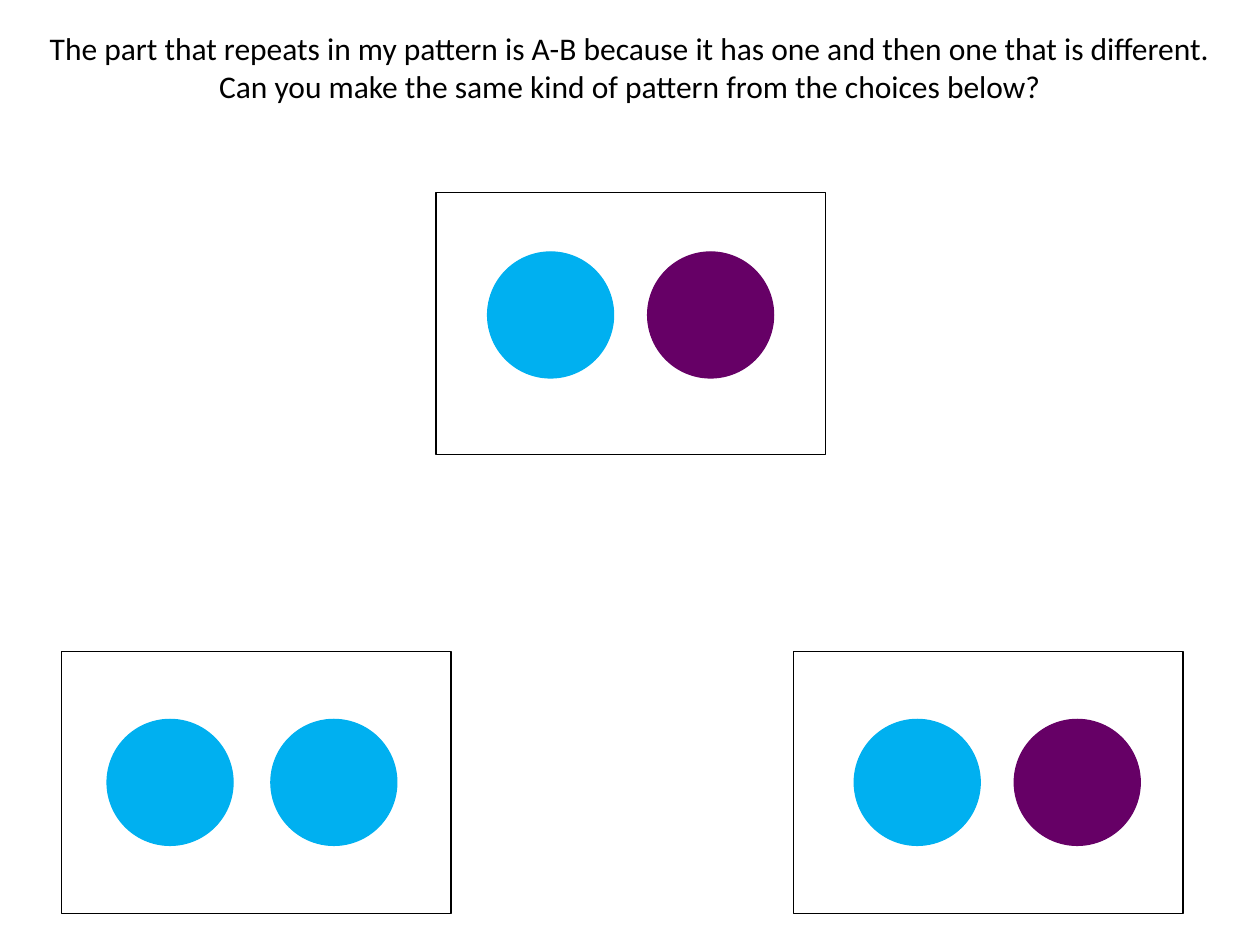
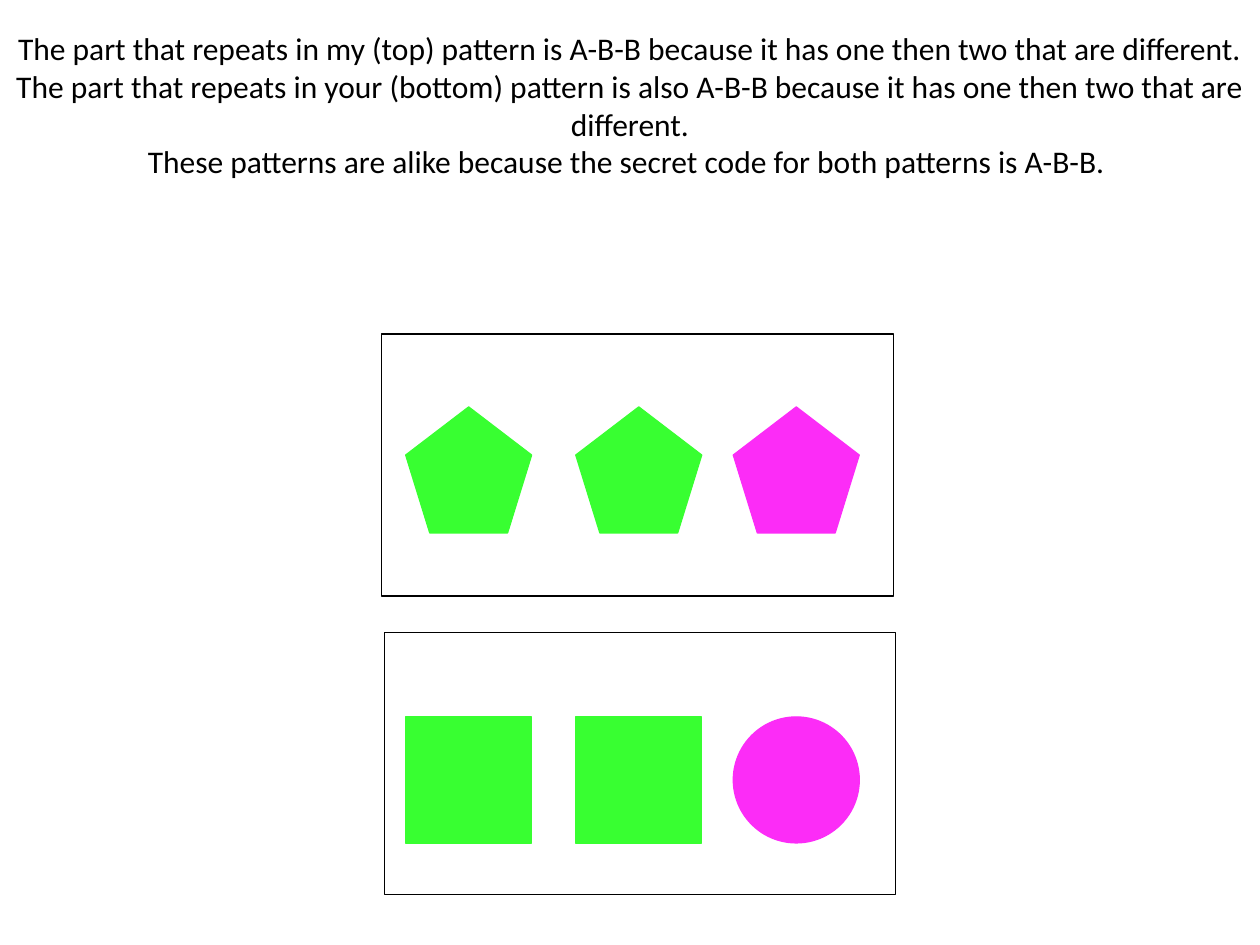
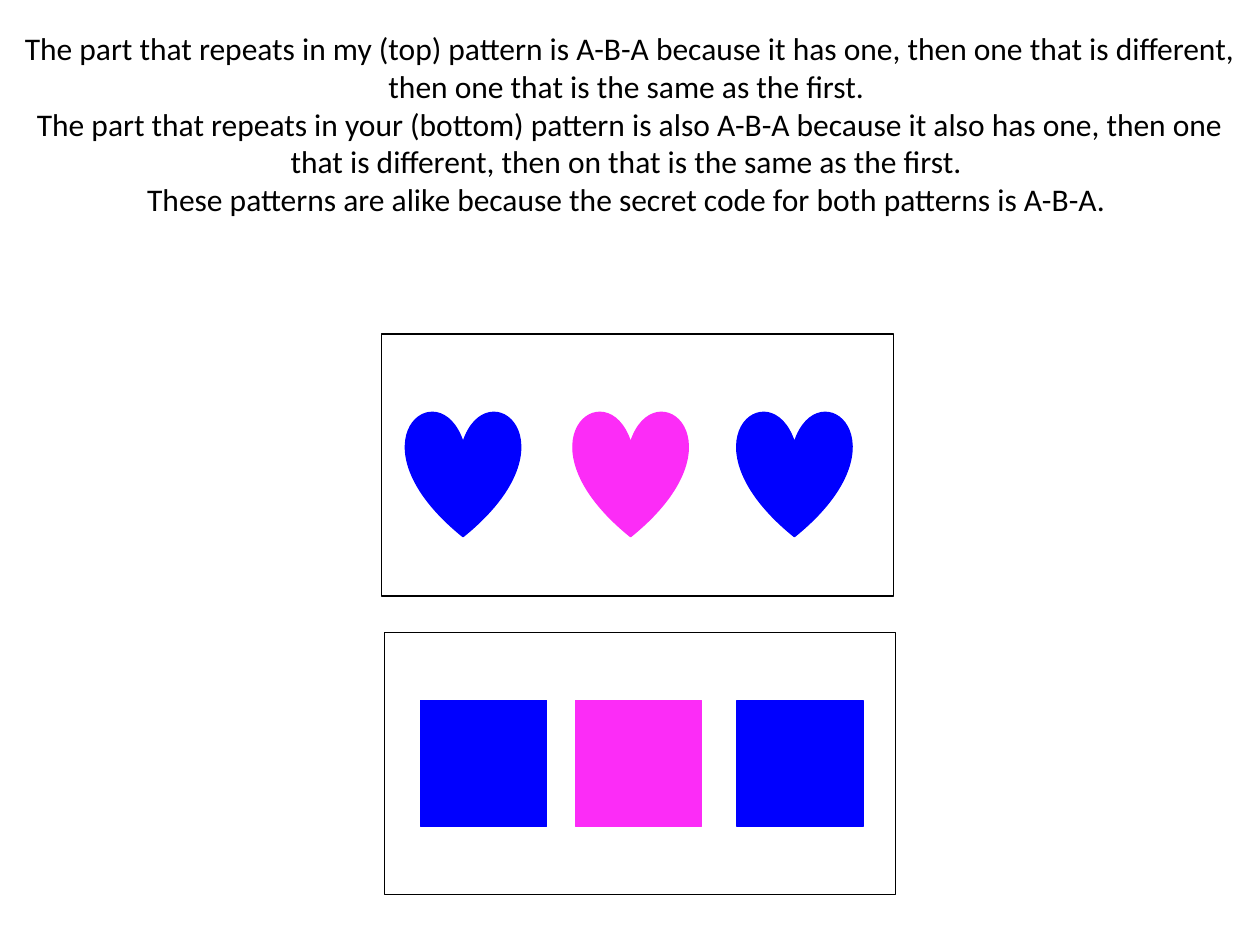
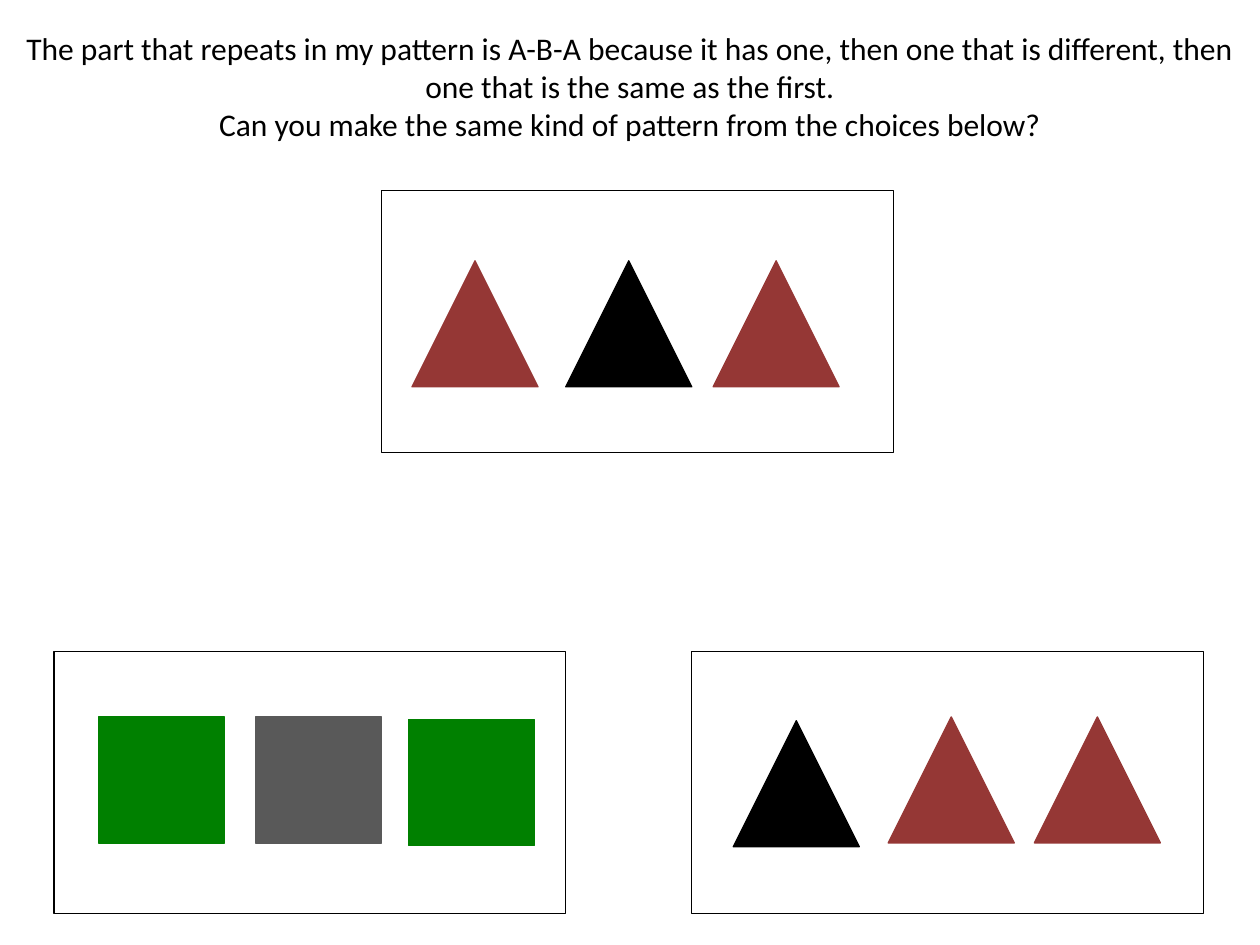
from dataclasses import dataclass

from pptx import Presentation
from pptx.dml.color import RGBColor
from pptx.enum.shapes import MSO_SHAPE as Preset
from pptx.enum.text import MSO_ANCHOR as Anchor, MSO_AUTO_SIZE as AutoSize, PP_ALIGN as Align
from pptx.util import Inches, Pt

FONT = "Calibri"
BLACK, SKY, PLUM = "000000", "00B0F0", "660066"
LIME, PINK, BLUE = "38FF31", "FC2CF7", "0000FF"
BRICK, GREEN, GRAY = "953735", "008000", "595959"

TITLE_ONLY = 5
LINE_WIDTH = Pt(0.75)
CARD_HEIGHT = 2.08
CARD_WIDTHS = {2: 3.09, 3: 4.06}  # by number of pieces
PIECE_SIZE = 1
HEART_WIDTH = 0.91
COMPARE_TOP, COMPARE_BOTTOM = (3.03, 2.65), (3.05, 5.02)
CHOICE_TOP = 5.17
QUESTION = "Can you make the same kind of pattern from the choices below?"


@dataclass
class Card:
    """A framed pattern; offsets and drop are measured from its top left corner."""
    position: tuple
    presets: list
    colors: list
    offsets: list
    drop: float
    nudges: tuple = (0, 0, 0)  # extra drop of each piece


def rgb(hex_color):
    return RGBColor.from_string(hex_color)


def add_outlined(slide, preset, left, top, width, height, line_color, fill_color=None):
    shape = slide.shapes.add_shape(
        preset, Inches(left), Inches(top), Inches(width), Inches(height))
    shape.shadow.inherit = False
    if fill_color:
        shape.fill.solid()
        shape.fill.fore_color.rgb = rgb(fill_color)
    else:
        shape.fill.background()
    shape.line.color.rgb = rgb(line_color)
    shape.line.width = LINE_WIDTH


def add_card(slide, card):
    left, top = card.position
    add_outlined(slide, Preset.RECTANGLE, left, top,
                 CARD_WIDTHS[len(card.presets)], CARD_HEIGHT, BLACK)
    for preset, color, offset, nudge in zip(
            card.presets, card.colors, card.offsets, card.nudges):
        width = HEART_WIDTH if preset == Preset.HEART else PIECE_SIZE
        add_outlined(slide, preset, left + offset, top + card.drop + nudge,
                     width, PIECE_SIZE, color, color)


def fill_title(slide, lines, height):
    title = slide.shapes.title
    title.left, title.top = Inches(0), Inches(0.18)
    title.width, title.height = Inches(10), Inches(height)
    frame = title.text_frame
    frame.word_wrap = True
    frame.auto_size = AutoSize.SHAPE_TO_FIT_TEXT
    frame.vertical_anchor = Anchor.TOP
    frame.text = "\n".join(lines)
    for paragraph in frame.paragraphs:
        paragraph.alignment = Align.CENTER
        paragraph.font.name = FONT
        paragraph.font.size = Pt(18)
        paragraph.font.color.rgb = rgb(BLACK)


def add_pattern_slide(presentation, lines, title_height, cards):
    slide = presentation.slides.add_slide(presentation.slide_layouts[TITLE_ONLY])
    fill_title(slide, lines, title_height)
    for card in cards:
        add_card(slide, card)


def main():
    presentation = Presentation()
    presentation.slide_width, presentation.slide_height = Inches(10), Inches(7.5)

    circles = [Preset.OVAL] * 2
    squares = [Preset.RECTANGLE] * 3
    triangles = [Preset.ISOSCELES_TRIANGLE] * 3

    add_pattern_slide(presentation, [
        "The part that repeats in my pattern is A-B because it has one and then one "
        "that is different.",
        QUESTION,
    ], 0.71, [
        Card((3.46, 1.53), circles, [SKY, PLUM], [0.41, 1.68], 0.47),
        Card((0.49, CHOICE_TOP), circles, [SKY, SKY], [0.36, 1.66], 0.54),
        Card((6.3, CHOICE_TOP), circles, [SKY, PLUM], [0.48, 1.75], 0.54),
    ])

    add_pattern_slide(presentation, [
        "The part that repeats in my (top) pattern is A-B-B because it has one then two "
        "that are different.",
        "The part that repeats in your (bottom) pattern is also A-B-B because it has one "
        "then two that are different.",
        "These patterns are alike because the secret code for both patterns is A-B-B. ",
    ], 1.31, [
        Card(COMPARE_TOP, [Preset.REGULAR_PENTAGON] * 3, [LIME, LIME, PINK],
             [0.19, 1.54, 2.79], 0.58),
        Card(COMPARE_BOTTOM, squares[:2] + [Preset.OVAL], [LIME, LIME, PINK],
             [0.17, 1.52, 2.77], 0.67),
    ])

    add_pattern_slide(presentation, [
        "The part that repeats in my (top) pattern is A-B-A because it has one, then one "
        "that is different, then one that is the same as the first. ",
        "The part that repeats in your (bottom) pattern is also A-B-A because it also has "
        "one, then one that is different, then on that is the same as the first. ",
        "These patterns are alike because the secret code for both patterns is A-B-A. ",
    ], 1.62, [
        Card(COMPARE_TOP, [Preset.HEART] * 3, [BLUE, PINK, BLUE],
             [0.19, 1.52, 2.82], 0.61),
        Card(COMPARE_BOTTOM, squares, [BLUE, PINK, BLUE], [0.29, 1.52, 2.8], 0.54),
    ])

    add_pattern_slide(presentation, [
        "The part that repeats in my pattern is A-B-A because it has one, then one that is "
        "different, then one that is the same as the first.",
        QUESTION,
    ], 1.01, [
        Card((3.03, 1.51), triangles, [BRICK, BLACK, BRICK], [0.24, 1.46, 2.63], 0.56),
        Card((0.43, CHOICE_TOP), squares, [GREEN, GRAY, GREEN],
             [0.35, 1.6, 2.81], 0.52, (0, 0, 0.02)),
        Card((5.49, CHOICE_TOP), triangles, [BLACK, BRICK, BRICK],
             [0.33, 1.56, 2.72], 0.52, (0.03, 0, 0)),
    ])

    presentation.save("out.pptx")


if __name__ == "__main__":
    main()
